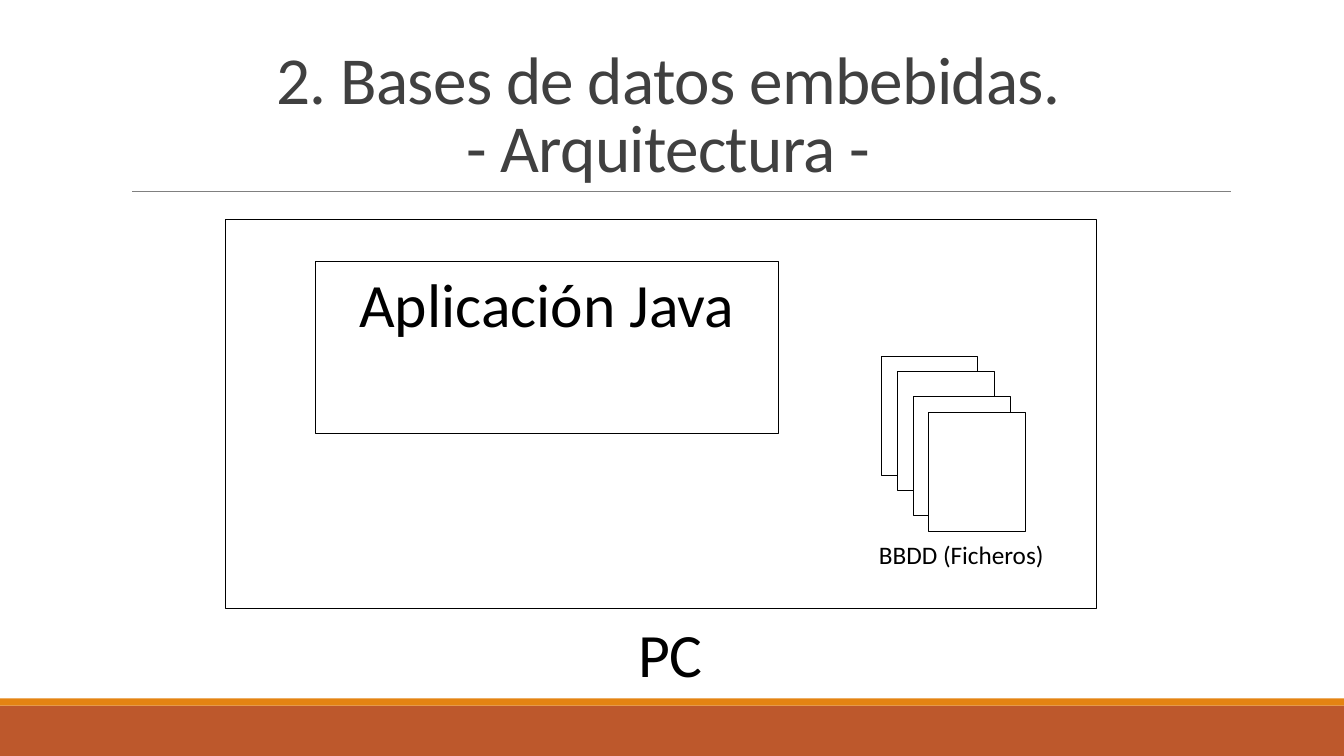
from pptx import Presentation
from pptx.enum import shapes, text
from pptx.oxml import ns
from pptx.util import Inches, Pt

COLORS = {"white": "FFFFFF", "black": "000000", "title": "404040",
          "rule": "808080", "footer": "BD582C", "accent": "E48312"}
FONT = "Calibri"


def color(name):
    return RGBColor.from_string(COLORS[name])


def add_box(slide, box, fill="white", line="black"):
    rect = slide.shapes.add_shape(shapes.MSO_SHAPE.RECTANGLE, *map(Inches, box))
    rect.shadow.inherit = False
    rect.fill.solid()
    rect.fill.fore_color.rgb = color(fill)
    if line:
        rect.line.color.rgb = color(line)
        rect.line.width = Pt(0.75)
    else:
        rect.line.fill.background()
    return rect


def write(shape, words, size, ink="black", anchor=text.MSO_ANCHOR.TOP):
    frame = shape.text_frame
    frame.word_wrap = True
    frame.auto_size = text.MSO_AUTO_SIZE.NONE
    frame.vertical_anchor = anchor
    frame.text = words
    paragraph = frame.paragraphs[0]
    paragraph.alignment = text.PP_ALIGN.CENTER
    paragraph.font.name = FONT
    paragraph.font.size = Pt(size)
    paragraph.font.color.rgb = color(ink)
    return paragraph


def add_label(slide, box, words, size):
    write(slide.shapes.add_textbox(*map(Inches, box)), words, size)


def add_footer(slide, box):
    left, top, width, height = box
    stripe = 0.07
    add_box(slide, (left, top + stripe, width, height - stripe), "footer", None)
    add_box(slide, (left, top, width, stripe), "accent", None)


def add_title(slide, box):
    left, top, width, height = box
    # Rule under the title
    rule_y = Inches(top + height)
    rule = slide.shapes.add_connector(
        shapes.MSO_CONNECTOR.STRAIGHT,
        Inches(left + 0.11), rule_y, Inches(left + width + 0.01), rule_y)
    rule.line.color.rgb = color("rule")
    rule.line.width = Pt(0.5)
    rule._element.spPr.append(OxmlElement("a:effectLst"))
    # Heading
    title = slide.shapes.title
    title.left, title.top, title.width, title.height = map(Inches, box)
    heading = write(title, "2. Bases de datos embebidas. \v- Arquitectura - ",
                    48, "title", text.MSO_ANCHOR.BOTTOM)
    heading.line_spacing = 0.85
    heading._p.pPr.find(ns.qn("a:defRPr")).set("spc", "-50")


def add_database_files(slide, box):
    left, top, width, height = box
    for dx, dy in ((0, 0), (0.16, 0.15), (0.32, 0.39), (0.47, 0.55)):
        add_box(slide, (left + dx, top + dy, width, height))
    add_label(slide, (left - 0.32, top + 1.76, 2.23, 0.4), "BBDD (Ficheros)", 18)


def add_computer(slide, box):
    left, top, width, height = box
    add_box(slide, box)
    application = add_box(slide, (left + 0.89, top + 0.41, 4.59, 1.71))
    write(application, "Aplicación Java", 44)
    add_database_files(slide, (left + 6.5, top + 1.36, 0.96, 1.18))
    add_label(slide, (left + 3.95, top + height + 0.02, 0.92, 0.83), "PC", 44)


from pptx.dml.color import RGBColor
from pptx.oxml.xmlchemy import OxmlElement

deck = Presentation()
deck.slide_width, deck.slide_height = Inches(13.33), Inches(7.5)
slide = deck.slides.add_slide(deck.slide_layouts[5])
add_footer(slide, (0, 6.93, 13.33, 0.57))
add_title(slide, (1.2, 0.31, 11, 1.59))
add_computer(slide, (2.24, 2.18, 8.64, 3.86))
deck.save("out.pptx")
